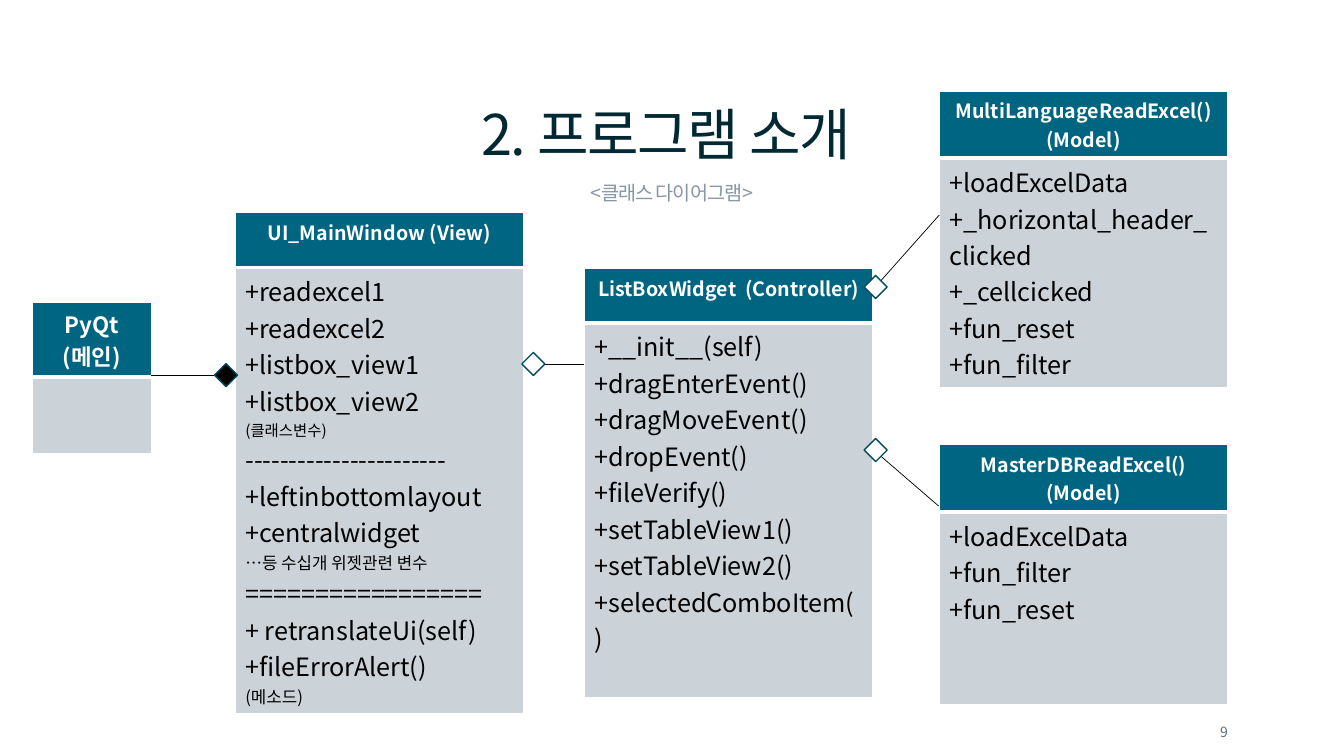
from lxml.etree import SubElement
from pptx import Presentation
from pptx.dml.color import RGBColor
from pptx.enum.shapes import MSO_CONNECTOR, MSO_SHAPE
from pptx.enum.text import MSO_ANCHOR, MSO_AUTO_SIZE, PP_ALIGN
from pptx.oxml.ns import qn
from pptx.util import Pt

FONT = "Noto Sans CJK KR"
HEX = {
    "white": "FFFFFF", "black": "000000", "teal": "006580", "gray": "CCD3D8",
    "edge": "004B5F", "title": "002933", "sub": "8696A7", "num": "5F7083",
}
WIDE = 206

# Class box: left, top, width, header height, body height, header size,
# header lines, body lines (text, or text with its own size)
BOXES = [
    (23, 216, 85, 53, 55, 16, ["PyQt", "(메인)"], []),
    (168, 152, WIDE, 39, 318, 14, ["UI_MainWindow (View)"], [
        "+readexcel1 +readexcel2", "+listbox_view1", "+listbox_view2",
        ("(클래스변수)", 11), "-----------------------",
        "+leftinbottomlayout", "+centralwidget",
        ("…등 수십개 위젯관련 변수", 12), "=================",
        "+ retranslateUi(self)", "+fileErrorAlert()", ("(메소드)", 12)]),
    (417.5, 191.5, WIDE, 39, 268, 14, ["ListBoxWidget  (Controller)"], [
        "+__init__(self)", "+dragEnterEvent()", "+dragMoveEvent()",
        "+dropEvent()", "+fileVerify()", "+setTableView1()",
        "+setTableView2()", "+selectedComboItem()"]),
    (671, 65, WIDE, 47.5, 163, 14, ["MultiLanguageReadExcel() (Model)"], [
        "+loadExcelData", "+_horizontal_header_clicked", "+_cellcicked",
        "+fun_reset", "+fun_filter"]),
    (671, 317.5, WIDE, 47.5, 138, 14, ["MasterDBReadExcel() (Model)"], [
        "+loadExcelData", "+fun_filter", "+fun_reset"]),
]

# Link: line start, line end, diamond centre, diamond fill
LINKS = [
    ((108, 268), (168, 268), (161.5, 268), "black"),
    ((374, 260), (417.5, 260), (381, 260), "white"),
    ((623, 320.5), (670.5, 361.5), (625.5, 321.5), "white"),
    ((623, 207.5), (671, 153.5), (625.5, 205), "white"),
]


def color(key):
    return RGBColor.from_string(HEX[key])


def add_run(para, text, size, key, bold=False, space=0):
    run = para.add_run()
    run.text = text
    font = run.font
    font.size, font.bold, font.name = Pt(size), bold, FONT
    font.color.rgb = color(key)
    props = run._r.get_or_add_rPr()
    SubElement(props, qn("a:ea")).set("typeface", FONT)
    if space:
        props.set("spc", str(round(space * 100)))


def write(frame, lines, size, key, align, bold=False, space=0):
    for i, line in enumerate(lines):
        text, own = line if isinstance(line, tuple) else (line, size)
        para = frame.paragraphs[0] if i == 0 else frame.add_paragraph()
        para.alignment = align
        add_run(para, text, own, key, bold, space)


def set_frame(frame, anchor):
    frame.word_wrap = True
    frame.auto_size = MSO_AUTO_SIZE.NONE
    frame.vertical_anchor = anchor
    frame.margin_left = frame.margin_right = 0
    frame.margin_top = frame.margin_bottom = 0


def set_cell(cell, key, base):
    # Borders come before the fill in the cell properties
    props = cell._tc.get_or_add_tcPr()
    for side, width in (("L", 1), ("R", 1), ("T", 1), ("B", base)):
        line = SubElement(props, qn(f"a:ln{side}"), w=str(Pt(width)))
        fill = SubElement(line, qn("a:solidFill"))
        SubElement(fill, qn("a:srgbClr"), val=HEX["white"])
    cell.fill.solid()
    cell.fill.fore_color.rgb = color(key)


def add_title(slide, x, y, w, h):
    title = slide.shapes.title
    title.left, title.top, title.width, title.height = map(Pt, (x, y, w, h))
    set_frame(title.text_frame, MSO_ANCHOR.BOTTOM)
    write(title.text_frame, ["2. 프로그램 소개 "], 40, "title",
          PP_ALIGN.CENTER, space=-1)
    title.text_frame.paragraphs[0].line_spacing = 0.9


def add_label(slide, x, y, w, h, text, size, key, align, anchor, space=0):
    frame = slide.shapes.add_textbox(*map(Pt, (x, y, w, h))).text_frame
    set_frame(frame, anchor)
    write(frame, [text], size, key, align, space=space)
    return frame.paragraphs[0]


def add_class(slide, x, y, w, head, body, size, names, items):
    shape = slide.shapes.add_table(2, 1, *map(Pt, (x, y, w, head + body)))
    table = shape.table
    table.first_row = table.horz_banding = False
    table.columns[0].width = Pt(w)
    table.rows[0].height, table.rows[1].height = Pt(head), Pt(body)
    top, low = table.cell(0, 0), table.cell(1, 0)
    set_cell(top, "teal", 3)
    set_cell(low, "gray", 1)
    write(top.text_frame, names, size, "white", PP_ALIGN.CENTER, bold=True)
    write(low.text_frame, items, 18, "black", PP_ALIGN.LEFT)


def add_link(slide, start, end, mid, key, side=16.5):
    line = slide.shapes.add_connector(
        MSO_CONNECTOR.STRAIGHT, *map(Pt, start + end))
    line.line.color.rgb = color("black")
    line.line.width = Pt(0.5)
    SubElement(line._element.spPr, qn("a:effectLst"))
    left, top = (v - side / 2 for v in mid)
    mark = slide.shapes.add_shape(
        MSO_SHAPE.FLOWCHART_DECISION, *map(Pt, (left, top, side, side)))
    mark.shadow.inherit = False
    mark.fill.solid()
    mark.fill.fore_color.rgb = color(key)
    mark.line.color.rgb = color("edge")
    mark.line.width = Pt(1)


def main():
    deck = Presentation()
    deck.slide_width, deck.slide_height = Pt(960), Pt(540)
    slide = deck.slides.add_slide(deck.slide_layouts[5])
    # Title, subtitle and page number
    add_title(slide, 83, 57, 793.5, 62.5)
    sub = add_label(slide, 83, 124.5, 793.5, 40, "<클래스 다이어그램>", 14, "sub",
                    PP_ALIGN.CENTER, MSO_ANCHOR.TOP, -0.7)
    sub.line_spacing = 1.3
    add_label(slide, 771, 507, 106, 22, "9", 10, "num",
              PP_ALIGN.RIGHT, MSO_ANCHOR.BOTTOM)
    # Class diagram
    for box in BOXES:
        add_class(slide, *box)
    for link in LINKS:
        add_link(slide, *link)
    deck.save("out.pptx")


if __name__ == "__main__":
    main()
